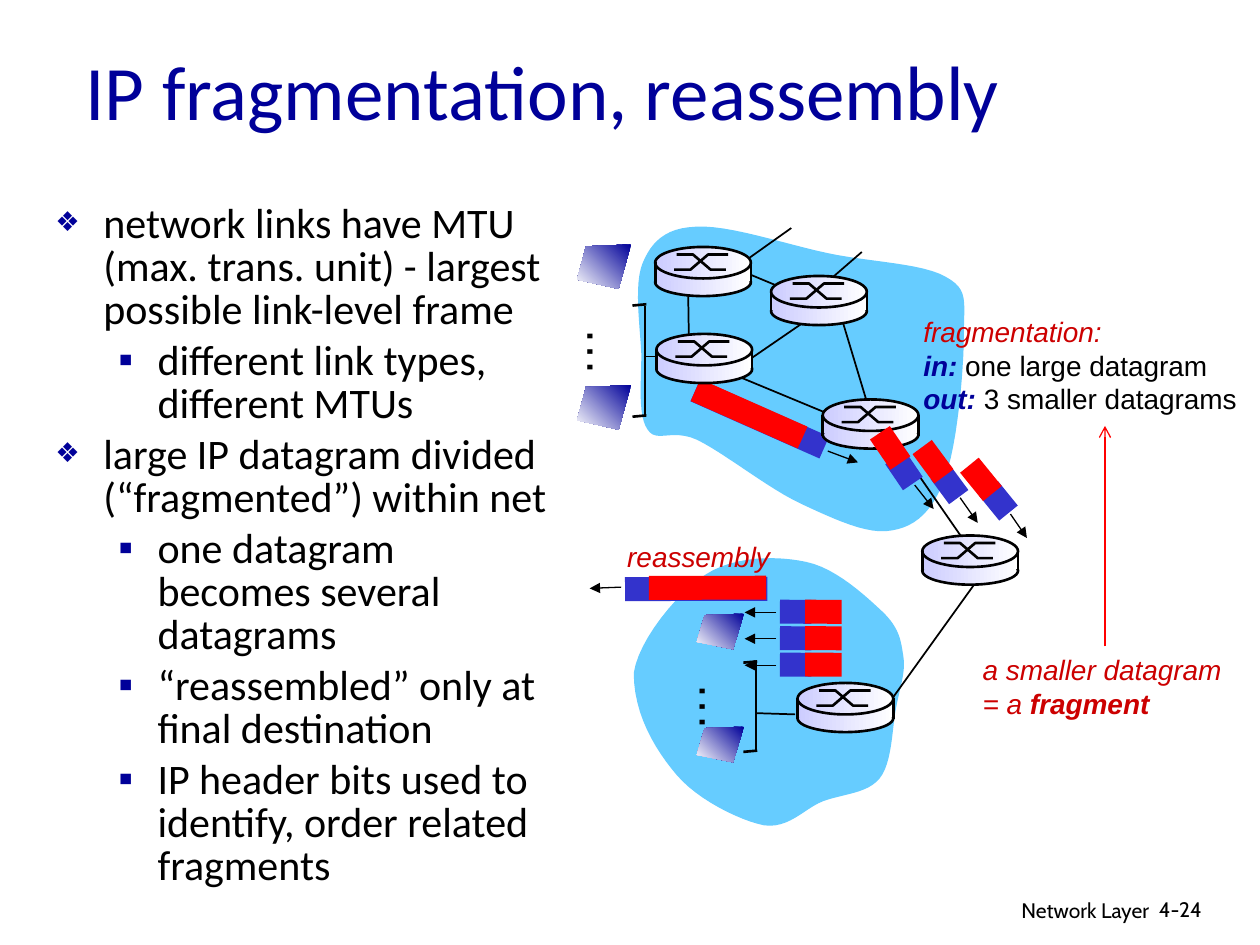
from lxml import etree
from pptx import Presentation
from pptx import util as u
from pptx.dml.color import RGBColor
from pptx.enum import shapes, text
from pptx.oxml.ns import qn

NAVY = RGBColor(0x00, 0x00, 0x99)
BLACK = RGBColor(0x00, 0x00, 0x00)
CRIMSON = RGBColor(0xCC, 0x00, 0x00)
RED = RGBColor(0xFF, 0x00, 0x00)
BLUE = RGBColor(0x33, 0x33, 0xCC)
SKY = RGBColor(0x66, 0xCC, 0xFF)
LILAC = RGBColor(0xCC, 0xCC, 0xFF)
WHITE = RGBColor(0xFF, 0xFF, 0xFF)


def inches(values):
    return [u.Inches(value) for value in values]


def paint(shape, fill=None, gradient=None, line=None):
    """Fill is a colour; gradient is (from, to, angle); line is a width in points."""
    shape.shadow.inherit = False
    if gradient:
        shape.fill.gradient()
        for stop, colour in zip(shape.fill.gradient_stops, gradient):
            stop.color.rgb = colour
        shape.fill.gradient_angle = gradient[2]
    elif fill is not None:
        shape.fill.solid()
        shape.fill.fore_color.rgb = fill
    else:
        shape.fill.background()
    if line:
        shape.line.color.rgb = BLACK
        shape.line.width = u.Pt(line)
    else:
        shape.line.fill.background()


def add_preset(parts, kind, box, angle=0, **look):
    shape = parts.add_shape(kind, *inches(box))
    shape.rotation = angle
    paint(shape, **look)


def add_outline(parts, points, close=True, **look):
    points = [inches(point) for point in points]
    builder = parts.build_freeform(*points[0])
    builder.add_line_segments(points[1:], close=close)
    paint(builder.convert_to_shape(), **look)


def add_line(parts, ends, width=1.0, colour=BLACK, head=None):
    line = parts.add_connector(shapes.MSO_CONNECTOR.STRAIGHT, *inches(ends))
    line.line.color.rgb = colour
    line.line.width = u.Pt(width)
    if head:
        etree.SubElement(line.line._get_or_add_ln(), qn("a:tailEnd"), type=head)
    etree.SubElement(line._element.spPr, qn("a:effectLst"))


def add_span(para, words, **values):
    span = para.add_run()
    span.text = words
    span.font.color.rgb = values.pop("colour", BLACK)
    for name, value in values.items():
        setattr(span.font, name, value)


def add_label(parts, box, paragraphs, angle=0, align=None, **values):
    """Each paragraph is a list of (words, own format values)."""
    label = parts.add_textbox(*inches(box))
    label.rotation = angle
    frame = label.text_frame
    frame.word_wrap = align is not None or angle != 0
    for number, spans in enumerate(paragraphs):
        para = frame.add_paragraph() if number else frame.paragraphs[0]
        para.alignment = align
        for words, own in spans:
            add_span(para, words, **{**values, **own})


def fill_title(page, box, words):
    title = page.shapes.title
    title.left, title.top, title.width, title.height = inches(box)
    title.text_frame.vertical_anchor = text.MSO_ANCHOR.MIDDLE
    para = title.text_frame.paragraphs[0]
    para.alignment = text.PP_ALIGN.LEFT
    add_span(para, words, name="Calibri", size=u.Pt(44), colour=NAVY)


def fill_list(page, box, items):
    body = page.placeholders[1]
    body.left, body.top, body.width, body.height = inches(box)
    frame = body.text_frame
    frame.auto_size = text.MSO_AUTO_SIZE.NONE
    styles = [(0.38, -0.38, "❖", "65000"), (0.81, -0.31, "▪", "100000")]
    for number, (level, words) in enumerate(items):
        para = frame.add_paragraph() if number else frame.paragraphs[0]
        margin, indent, mark, percent = styles[level]
        para.level = level
        props = para._p.get_or_add_pPr()
        props.set("marL", str(u.Inches(margin)))
        props.set("indent", str(u.Inches(indent)))
        colour = etree.SubElement(props, qn("a:buClr"))
        etree.SubElement(colour, qn("a:srgbClr"), val=str(NAVY))
        etree.SubElement(props, qn("a:buSzPct"), val=percent)
        etree.SubElement(props, qn("a:buChar"), char=mark)
        para.line_spacing = 0.85
        para.space_before = u.Pt(4.8 if number else 0)
        add_span(para, words, name="Calibri", size=u.Pt(24))


def add_cloud(page, start, curves, steps=12):
    """Trace cubic curves, each (control, control, end), as a fine outline."""
    points = [start]
    for x1, y1, x2, y2, x3, y3 in curves:
        x0, y0 = points[-1]
        for step in range(1, steps + 1):
            t = step / steps
            s = 1 - t
            points.append(tuple(
                s**3 * a + 3 * s * s * t * b + 3 * s * t * t * c + t**3 * d
                for a, b, c, d in ((x0, x1, x2, x3), (y0, y1, y2, y3))))
    add_outline(page.shapes, points, fill=SKY)


def add_router(page, left, top):
    parts = page.shapes.add_group_shape().shapes
    width, shade = 0.76, (LILAC, WHITE, 0)
    oval, slab = shapes.MSO_SHAPE.OVAL, shapes.MSO_SHAPE.RECTANGLE
    for kind, down, height, line in ((oval, 0.17, 0.22, 1.5), (slab, 0.14, 0.13, None),
                                     (oval, 0, 0.25, 1.5)):
        add_preset(parts, kind, (left, top + down, width, height), gradient=shade, line=line)
    # Crossed switching symbol
    for offsets, first, last in (((0.15, 0.28, 0.42, 0.58), 0.18, 0.06),
                                 ((0.17, 0.30, 0.44, 0.56), 0.06, 0.18)):
        heights = (first, first, last, last)
        add_outline(parts, [(left + x, top + y) for x, y in zip(offsets, heights)],
                    close=False, line=1.5)
    for x in (left, left + width):
        add_line(parts, (x, top + 0.12, x, top + 0.29), 1.5)


def add_hosts(page, left, top, width, height, dots):
    """Two screens, an ellipsis between them and a bracket on the right."""
    parts = page.shapes.add_group_shape().shapes
    right = left + width
    for y in (top + 0.33 * height, top + 0.93 * height):
        add_line(parts, (right - 0.11, y, right, y - 0.01), 1.5)
    add_line(parts, (right - 0.01, top + 0.33 * height, right - 0.01, top + 0.93 * height))
    screen = ((0.78, 0), (0.13, 0.01), (0, 0.19), (0.6, 0.24))
    for down in (0, 0.76):
        add_outline(parts, [(left + x * width, top + (y + down) * height) for x, y in screen],
                    gradient=(NAVY, WHITE, 225))
    add_label(parts, (*dots, 0.59, 0.57), [[("…", {})]], angle=90, name="Arial", size=u.Pt(28))


def add_datagram(parts, header, payload, angle, arrow):
    """Header and payload are (left, top, length)."""
    for (left, top, length), colour in ((header, BLUE), (payload, RED)):
        add_preset(parts, shapes.MSO_SHAPE.RECTANGLE, (left, top, length, 0.19), angle, fill=colour)
    add_line(parts, arrow, 0.75, head="triangle")


def add_network(page):
    add_cloud(page, (5.52, 1.8), [
        (5.28, 1.81, 5.17, 1.92, 5.1, 2.09), (5.03, 2.26, 5.08, 2.59, 5.09, 2.81),
        (5.09, 3.03, 5.06, 3.3, 5.14, 3.41), (5.21, 3.52, 5.33, 3.4, 5.53, 3.49),
        (5.74, 3.59, 6.1, 3.88, 6.36, 4), (6.62, 4.12, 6.89, 4.25, 7.08, 4.21),
        (7.27, 4.18, 7.41, 4.05, 7.5, 3.79), (7.6, 3.53, 7.65, 2.92, 7.65, 2.66),
        (7.65, 2.39, 7.69, 2.3, 7.51, 2.2), (7.33, 2.09, 6.9, 2.08, 6.57, 2.01),
        (6.24, 1.94, 5.77, 1.78, 5.52, 1.8)])
    add_cloud(page, (5.03, 5.34), [
        (5.07, 5.08, 5.37, 4.71, 5.6, 4.56), (5.83, 4.41, 6.17, 4.41, 6.4, 4.46),
        (6.64, 4.51, 6.88, 4.74, 7.01, 4.86), (7.14, 4.99, 7.15, 5.08, 7.17, 5.21),
        (7.19, 5.34, 7.14, 5.46, 7.11, 5.63), (7.08, 5.79, 7.08, 6.06, 6.98, 6.18),
        (6.88, 6.3, 6.69, 6.3, 6.53, 6.36), (6.38, 6.42, 6.26, 6.58, 6.06, 6.55),
        (5.87, 6.51, 5.54, 6.35, 5.37, 6.15), (5.2, 5.95, 5.03, 5.67, 5.03, 5.34)])
    # Links
    for ends in ((5.11, 2.83, 5.25, 2.83), (5.74, 2.09, 6.46, 2.39), (6.66, 2.46, 6.88, 3.19),
                 (5.46, 2.21, 5.47, 2.85), (5.72, 2.93, 6.78, 3.37), (7.63, 4.26, 7.11, 3.51),
                 (6.58, 2.42, 5.75, 2.99), (6.28, 1.81, 5.76, 2.18), (6.84, 2, 6.54, 2.26),
                 (7.76, 4.6, 7.07, 5.56), (6, 5.66, 6.31, 5.67)):
        add_line(page.shapes, ends)
    # Large datagram going in, and fragments arriving for reassembly
    add_datagram(page.shapes, (5.47, 3.23, 1.12), (5.48, 3.19, 0.93), 23.9, (6.57, 3.58, 6.81, 3.67))
    arriving = page.shapes.add_group_shape().shapes
    for row in range(3):
        top = 4.76 + 0.21 * row
        add_datagram(arriving, (6.19, top, 0.25), (6.39, top, 0.29), 180.4,
                     (6.16, top + 0.1, 5.91, top + 0.1))
    add_datagram(page.shapes, (4.96, 4.58, 1.13), (5.15, 4.57, 0.93), 179.9, (4.93, 4.66, 4.68, 4.67))
    # Hosts and routers
    add_hosts(page, 4.58, 1.94, 0.55, 1.47, (4.52, 2.51))
    for left, top in ((6.53, 3.17), (5.2, 1.96), (5.21, 2.65), (6.12, 2.19), (7.32, 4.25), (6.33, 5.42)):
        add_router(page, left, top)
    add_hosts(page, 5.53, 4.87, 0.48, 1.18, (5.41, 5.33))
    # Fragments going out
    leaving = page.shapes.add_group_shape().shapes
    for header, payload, angle, arrow in (
            ((7.05, 3.64), (6.92, 3.46), 55.8, (7.26, 3.85, 7.41, 4.04)),
            ((7.41, 3.75), (7.26, 3.57), 53.6, (7.62, 3.95, 7.76, 4.15)),
            ((7.8, 3.88), (7.64, 3.71), 50.9, (8.02, 4.08, 8.15, 4.27))):
        add_datagram(leaving, (*header, 0.25), (*payload, 0.29), angle, arrow)


def add_notes_on_network(page):
    note = {"name": "Arial", "size": u.Pt(16), "italic": True, "colour": CRIMSON}
    key, plain = {"colour": NAVY, "bold": True}, {"colour": BLACK, "italic": False}
    add_label(page.shapes, (7.23, 2.45, 2.7, 0.9), [
        [("fragmentation:", {})],
        [("in:", key), (" one large datagram", plain)],
        [("out:", key), (" 3 smaller datagrams", plain)]], **note)
    add_label(page.shapes, (4.88, 4.23, 1.34, 0.37), [[("reassembly", {})]], **note)
    add_label(page.shapes, (7.7, 5.13, 2.12, 0.64), [
        [("a smaller datagram", {})], [("= a ", {}), ("fragment", {"bold": True})]], **note)
    add_line(page.shapes, (8.77, 5.13, 8.77, 3.38), 0.75, RED, "arrow")


def add_footer(page):
    for box, words, align in (((6.05, 7.07, 3.17, 0.31), "Network Layer", text.PP_ALIGN.RIGHT),
                              ((9.1, 7.07, 0.74, 0.3), "4-24", text.PP_ALIGN.LEFT)):
        add_label(page.shapes, box, [[(words, {})]], align=align, name="Cabin", size=u.Pt(12))


def main():
    deck = Presentation()
    deck.slide_width, deck.slide_height = inches((10, 7.5))
    page = deck.slides.add_slide(deck.slide_layouts[1])
    fill_title(page, (0.58, 0.2, 8.5, 1.02), "IP fragmentation, reassembly")
    fill_list(page, (0.34, 1.57, 4.17, 5.57), [
        (0, "network links have MTU (max. trans. unit) - largest possible link-level frame"),
        (1, "different link types, different MTUs"),
        (0, "large IP datagram divided (“fragmented”) within net"),
        (1, "one datagram becomes several datagrams"),
        (1, "“reassembled” only at final destination"),
        (1, "IP header bits used to identify, order related fragments")])
    add_network(page)
    add_notes_on_network(page)
    add_footer(page)
    deck.save("out.pptx")


if __name__ == "__main__":
    main()
